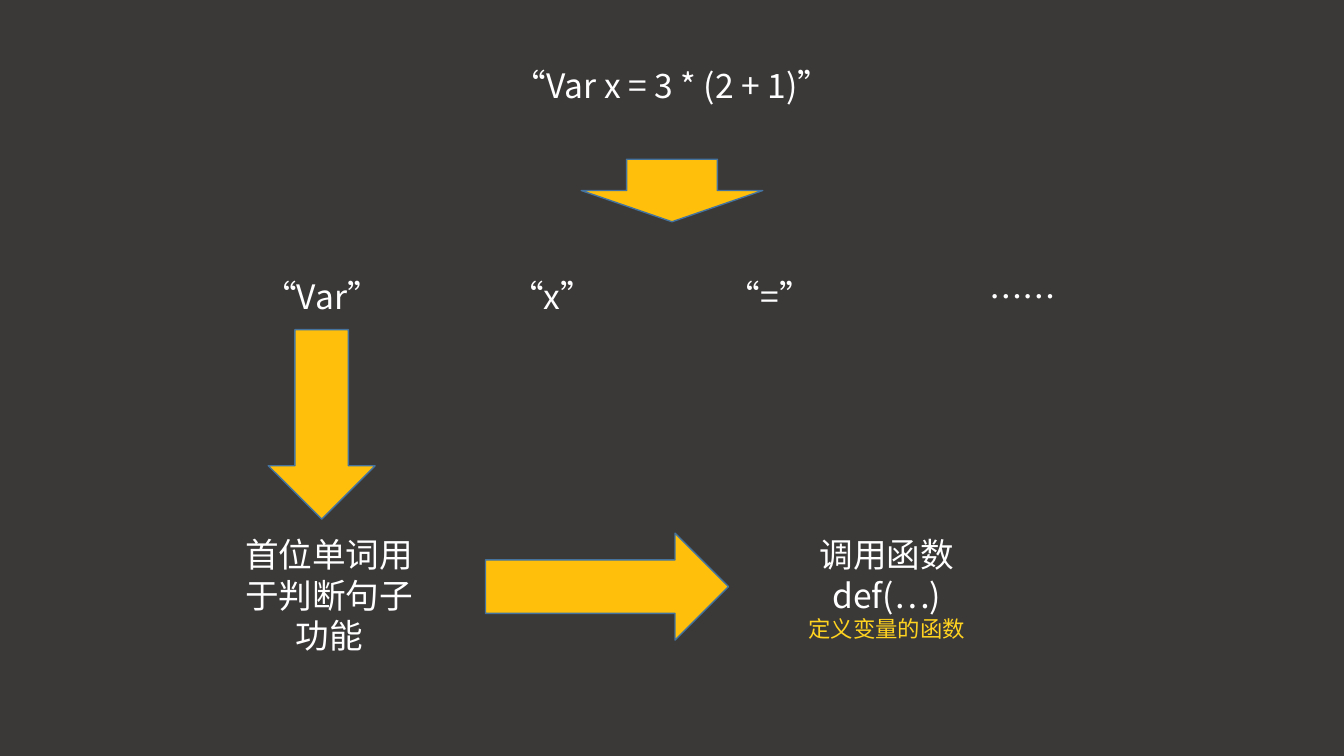
import pptx
import pptx.dml.color
import pptx.enum.shapes
import pptx.enum.text
import pptx.oxml.ns
import pptx.util

RGBColor = pptx.dml.color.RGBColor
Inches = pptx.util.Inches

BACKGROUND = RGBColor(0x3B, 0x38, 0x38)
WHITE = RGBColor(0xFF, 0xFF, 0xFF)
YELLOW = RGBColor(0xFF, 0xD3, 0x1F)
ARROW_FILL = RGBColor(0xFF, 0xBF, 0x0B)
ARROW_LINE = RGBColor(0x43, 0x73, 0x9E)
FONT = "Noto Sans CJK SC"

WIDTH, HEIGHT = 13.33, 7.5
COLUMN = 1.93
TOKEN_TOP, STEP_TOP = 2.69, 5.25

STATEMENT = "“Var x = 3 * (2 + 1)”"
TOKENS = [("“Var”", 2.23), ("“x”", 4.51), ("“=”", 6.67), ("……", 9.18)]
# Each step: left, height, lines of (text, size, colour)
STEPS = [
    (2.3, 1.31, [("首位单词用于判断句子功能", 24, WHITE)]),
    (7.83, 1.18, [("调用函数def(…)", 24, WHITE), ("定义变量的函数", 16, YELLOW)]),
]
# Each arrow: centre x, centre y, length, thickness, rotation
ARROWS = [
    (WIDTH / 2, 1.89, 0.62, 1.8, 90),
    (3.19, 4.21, 1.88, 1.06, 90),
    (6.02, 5.82, 2.41, 1.06, 0),
]


def write(paragraph, text, size=24, color=WHITE):
    paragraph.alignment = pptx.enum.text.PP_ALIGN.CENTER
    run = paragraph.add_run()
    run.text = text
    run.font.size = pptx.util.Pt(size)
    run.font.color.rgb = color
    run.font.name = FONT
    east_asian = run.font._element.makeelement(pptx.oxml.ns.qn("a:ea"), {"typeface": FONT})
    run.font._element.find(pptx.oxml.ns.qn("a:latin")).addnext(east_asian)


def add_text(slide, left, top, height, lines):
    box = slide.shapes.add_textbox(*map(Inches, (left, top, COLUMN, height)))
    frame = box.text_frame
    frame.word_wrap = True
    for index, (text, size, color) in enumerate(lines):
        paragraph = frame.add_paragraph() if index else frame.paragraphs[0]
        write(paragraph, text, size=size, color=color)


def add_arrow(slide, center_x, center_y, length, thickness, rotation):
    arrow = slide.shapes.add_shape(
        pptx.enum.shapes.MSO_SHAPE.RIGHT_ARROW,
        Inches(center_x - length / 2), Inches(center_y - thickness / 2),
        Inches(length), Inches(thickness))
    arrow.rotation = rotation
    arrow.shadow.inherit = False
    arrow.fill.solid()
    arrow.fill.fore_color.rgb = ARROW_FILL
    arrow.line.color.rgb = ARROW_LINE
    arrow.line.width = pptx.util.Pt(1)


def main():
    deck = pptx.Presentation()
    deck.slide_width, deck.slide_height = Inches(WIDTH), Inches(HEIGHT)
    slide = deck.slides.add_slide(deck.slide_layouts.get_by_name("Title Only"))
    slide.background.fill.solid()
    slide.background.fill.fore_color.rgb = BACKGROUND

    title = slide.shapes.title
    title.left, title.top, title.width, title.height = map(Inches, (4.15, 0.59, 5.03, 0.5))
    title.text_frame.vertical_anchor = pptx.enum.text.MSO_ANCHOR.TOP
    title.text_frame.auto_size = pptx.enum.text.MSO_AUTO_SIZE.NONE
    write(title.text_frame.paragraphs[0], STATEMENT)

    for token, left in TOKENS:
        add_text(slide, left, TOKEN_TOP, 0.5, [(token, 24, WHITE)])
    for left, height, lines in STEPS:
        add_text(slide, left, STEP_TOP, height, lines)
    for arrow in ARROWS:
        add_arrow(slide, *arrow)
    deck.save("out.pptx")


if __name__ == "__main__":
    main()
